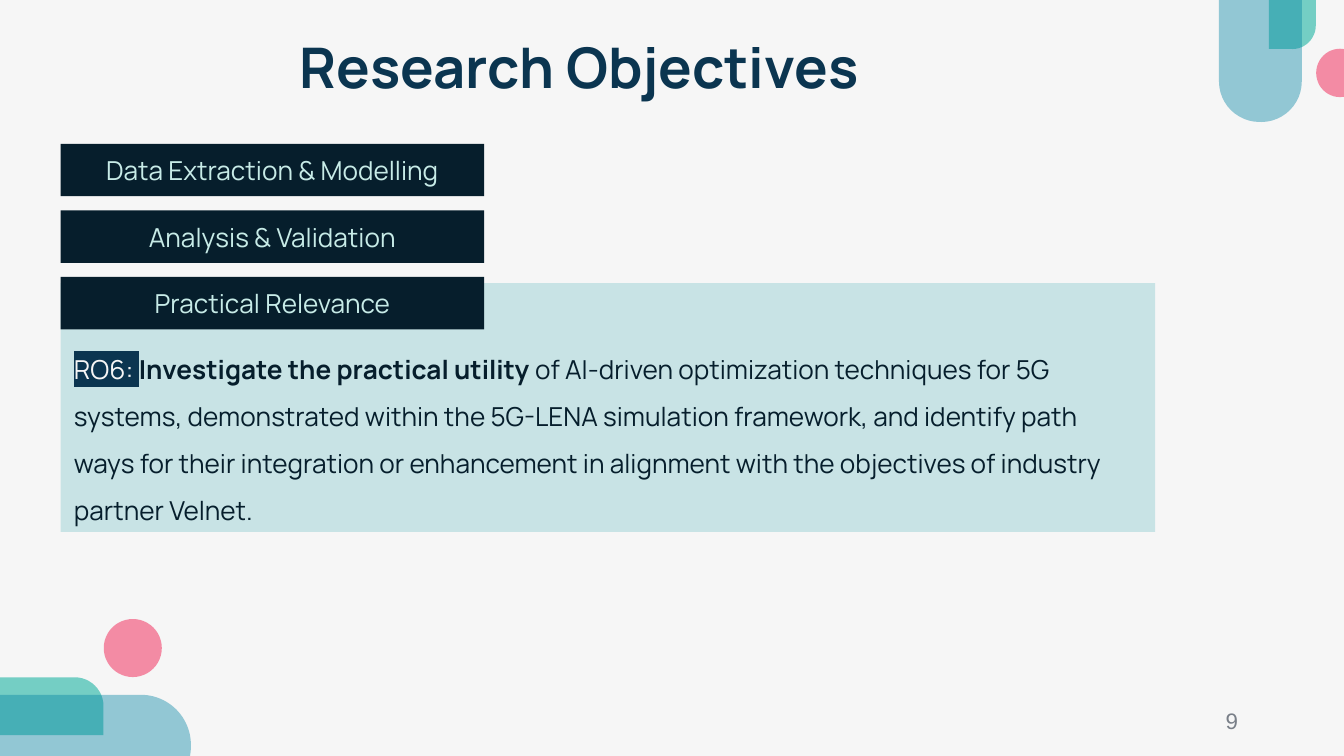
from lxml.etree import SubElement
from pptx import Presentation
from pptx.dml.color import RGBColor
from pptx.enum.shapes import MSO_SHAPE
from pptx.enum.text import MSO_ANCHOR, MSO_AUTO_SIZE, PP_ALIGN
from pptx.oxml.ns import qn
from pptx.util import Inches, Pt

SLIDE_WIDTH = Inches(10)
SLIDE_HEIGHT = SLIDE_WIDTH * 9 // 16

PAPER = RGBColor(0xF6, 0xF6, 0xF6)
NAVY = RGBColor(0x0B, 0x35, 0x50)
INK = RGBColor(0x06, 0x1E, 0x2C)
MINT = RGBColor(0xC7, 0xEB, 0xE7)
TEAL = RGBColor(0x47, 0xB0, 0xB7)
GREEN = RGBColor(0x74, 0xCE, 0xC4)
BLUE = RGBColor(0x05, 0x84, 0xA4)
PINK = RGBColor(0xF2, 0x55, 0x7A)
GREY = RGBColor(0x79, 0x7F, 0x88)

LEFT_MARGIN = 4.52
TAB_TOP, TAB_PITCH = 19.02, 8.8
THEMES = ["Data Extraction & Modelling", "Analysis & Validation", "Practical Relevance"]
OBJECTIVE = [
    ("RO6: ", PAPER, False, NAVY),
    ("Investigate the practical utility ", INK, True, None),
    ("of AI-driven optimization techniques for 5G systems, demonstrated within the "
     "5G-LENA simulation framework, and identify path ways for their integration or "
     "enhancement in alignment with the objectives of industry partner Velnet.",
     INK, False, None),
]
CORNERS = [
    (MSO_SHAPE.ROUND_2_DIAG_RECTANGLE, GREEN, 100, (0.5, 0),
     [(0.6, 84.62, 4.3, 17.6, 90), (94.4, -8.45, 3.5, 14.93, 180)]),
    (MSO_SHAPE.ROUND_2_SAME_RECTANGLE, BLUE, 41, (0.49, 0),
     [(2.2, 84.09, 7.6, 29.16, 90), (90.7, -8.4, 6.16, 24.53, 180)]),
    (MSO_SHAPE.OVAL, PINK, 66, (),
     [(7.72, 81.88, 4.32, 7.68, 0), (97.9, 6.5, 3.6, 6.3, 90)]),
]


def area(left, top, width, height):
    return (int(SLIDE_WIDTH * left / 100), int(SLIDE_HEIGHT * top / 100),
            int(SLIDE_WIDTH * width / 100), int(SLIDE_HEIGHT * height / 100))


def style(font, size, color, name="Manrope", bold=False):
    font.size = Pt(size)
    font.name = name
    font.bold = bold
    font.color.rgb = color


def add_block(slide, preset, bounds, color, opacity=100):
    block = slide.shapes.add_shape(preset, *area(*bounds))
    block.shadow.inherit = False
    block.line.fill.background()
    block.fill.solid()
    block.fill.fore_color.rgb = color
    if opacity < 100:
        tint = block.fill._xPr.find(qn("a:solidFill"))[0]
        SubElement(tint, qn("a:alpha"), val=str(opacity * 1000))
    return block


def add_corner_pieces(slide, preset, color, opacity, roundness, placements):
    for *bounds, turn in placements:
        piece = add_block(slide, preset, bounds, color, opacity)
        piece.rotation = turn
        for index, amount in enumerate(roundness):
            piece.adjustments[index] = amount


def add_title(slide, wording):
    title = slide.shapes.title
    title.left, title.top, title.width, title.height = area(21.3, 2.49, 57.5, 11.2)
    frame = title.text_frame
    frame.auto_size = MSO_AUTO_SIZE.NONE
    frame.vertical_anchor = MSO_ANCHOR.TOP
    frame.margin_left = frame.margin_right = Inches(0.1)
    frame.margin_top = frame.margin_bottom = Inches(0.1)
    frame.text = wording
    heading = frame.paragraphs[0]
    heading.alignment = PP_ALIGN.LEFT
    style(heading.font, 30, NAVY, bold=True)


def add_objective(slide):
    panel = add_block(slide, MSO_SHAPE.RECTANGLE, (LEFT_MARGIN, 37.44, 81.43, 32.93), TEAL, 26)
    frame = panel.text_frame
    frame.word_wrap = True
    frame.vertical_anchor = MSO_ANCHOR.BOTTOM
    statement = frame.paragraphs[0]
    statement.alignment = PP_ALIGN.LEFT
    statement.line_spacing = 1.5
    for wording, color, bold, marker in OBJECTIVE:
        phrase = statement.add_run()
        phrase.text = wording
        phrase.font.color.rgb = color
        if marker is not None:
            highlight = SubElement(phrase.font._element, qn("a:highlight"))
            SubElement(highlight, qn("a:srgbClr"), val=str(marker))
        style(phrase.font, 14, color, bold=bold)


def add_theme_tab(slide, row, wording):
    bounds = (LEFT_MARGIN, TAB_TOP + row * TAB_PITCH, 31.5, 6.95)
    tab = add_block(slide, MSO_SHAPE.RECTANGLE, bounds, INK)
    frame = tab.text_frame
    frame.vertical_anchor = MSO_ANCHOR.MIDDLE
    frame.text = wording
    label = frame.paragraphs[0]
    label.alignment = PP_ALIGN.CENTER
    style(label.font, 14, MINT)


def add_page_number(slide, number):
    frame = slide.shapes.add_textbox(*area(70.6, 92.7, 22.5, 5.33)).text_frame
    frame.word_wrap = True
    frame.vertical_anchor = MSO_ANCHOR.MIDDLE
    frame.text = number
    page = frame.paragraphs[0]
    page.alignment = PP_ALIGN.RIGHT
    style(page.font, 12, GREY, "Arial")


def main():
    deck = Presentation()
    deck.slide_width, deck.slide_height = SLIDE_WIDTH, SLIDE_HEIGHT
    slide = deck.slides.add_slide(deck.slide_layouts[5])
    slide.background.fill.solid()
    slide.background.fill.fore_color.rgb = PAPER

    add_objective(slide)
    add_title(slide, "Research Objectives")
    add_page_number(slide, "9")
    for corner in CORNERS:
        add_corner_pieces(slide, *corner)
    for row, theme in enumerate(THEMES):
        add_theme_tab(slide, row, theme)
    deck.save("out.pptx")


if __name__ == "__main__":
    main()
